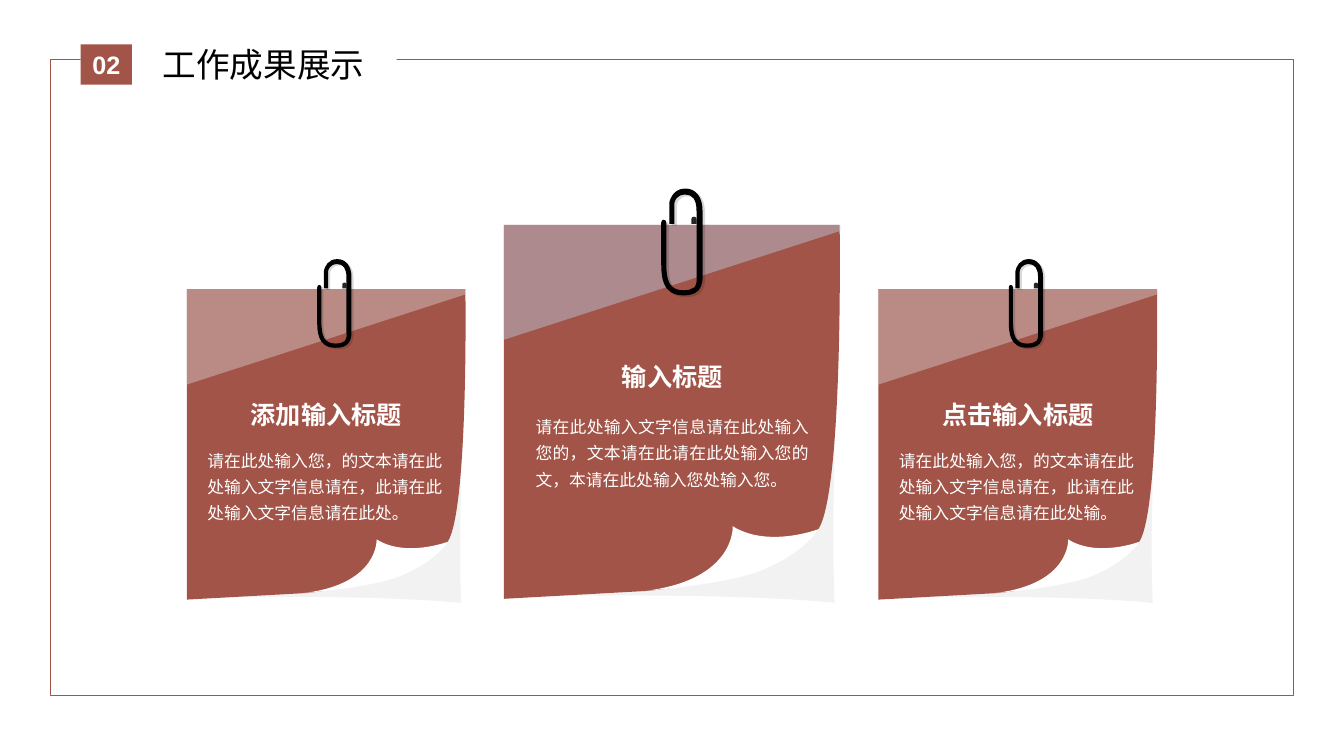
from lxml.etree import SubElement
from pptx import Presentation
from pptx.dml.color import RGBColor
from pptx.enum.shapes import MSO_SHAPE as Preset
from pptx.enum.text import MSO_ANCHOR as Anchor, MSO_AUTO_SIZE as AutoSize, PP_ALIGN as Align
from pptx.oxml.ns import qn
from pptx.util import Pt

BRICK = RGBColor(0xA2, 0x54, 0x48)
WHITE = RGBColor(0xFF, 0xFF, 0xFF)
BLACK = RGBColor(0x00, 0x00, 0x00)
CHARCOAL = RGBColor(0x26, 0x26, 0x26)
PALE_GREY = RGBColor(0xF2, 0xF2, 0xF2)
GREY = RGBColor(0xD9, 0xD9, 0xD9)
PALE_BLUE = RGBColor(0xBD, 0xD7, 0xEE)
HAN = "Noto Sans CJK SC"

SECTION_NUMBER, SECTION_TITLE = "02", "工作成果展示"

# Each note: left, top, scale, gloss colour, body width, body alignment, heading, body
NOTES = [
    (360, 160.6, 1, PALE_BLUE, 209.5, Align.JUSTIFY, "输入标题",
     "请在此处输入文字信息请在此处输入您的，文本请在此请在此处输入您的文，本请在此处输入您处输入您。"),
    (627.4, 206.6, 0.83, GREY, 222, Align.LEFT, "点击输入标题",
     "请在此处输入您，的文本请在此处输入文字信息请在，此请在此处输入文字信息请在此处输。"),
    (133.4, 206.6, 0.83, GREY, 222, Align.LEFT, "添加输入标题",
     "请在此处输入您，的文本请在此处输入文字信息请在，此请在此处输入文字信息请在此处。"),
]

# Outlines of a full-size note, from its top left corner.
# Two numbers are a corner, six are a cubic curve (two controls and an end).
UNDERLAY = [
    (236.2, 270), (236.2, 270, 171.4, 262.1, 6.5, 265.7), (6.5, 6.5), (236.2, 6.5),
    (236.2, 159.8), (236.2, 176.4, 234, 221, 236.2, 270),
]
PAPER = [
    (239.8, 0), (0, 0), (0, 267.1), (103.7, 261.4),
    (103.7, 261.4, 136.1, 258.5, 165.6, 247.7),
    (195.8, 236.9, 223.9, 218.2, 224.6, 217.4),
    (242.6, 189.4, 239.8, 0, 239.8, 0),
]
CURL = [
    (224.6, 217.4), (224.6, 217.4, 188.6, 231.1, 163.4, 215.3),
    (163.4, 215.3, 165.6, 253.4, 101.5, 261.4),
    (101.5, 261.4, 158.4, 257, 183.6, 247),
    (215.3, 234, 224.6, 217.4, 224.6, 217.4),
]
GLOSS = [(240.5, 4.3), (0, 82.1), (0, 0), (240.5, 0)]
CLIP = [
    (141.8, 38.2), (141.8, -10.1),
    (141.8, -20.2, 136.8, -25.9, 129.6, -25.9),
    (121.7, -25.9, 118.8, -19.4, 118.1, -15.8),
    (118.1, -0.7), (121.7, -0.7), (121.7, -15.1),
    (121.7, -16.6, 123.1, -21.6, 129.6, -21.6),
    (134.6, -21.6, 137.5, -18, 137.5, -10.1),
    (137.5, 38.2), (137.5, 38.2, 138.2, 41.8, 136.1, 44.6),
    (133.9, 46.1, 131.8, 46.8, 128.2, 46.8),
    (118.1, 46.8, 115.9, 40.3, 115.9, 26.6),
    (115.9, -1.4), (115.9, -2.9, 115.2, -3.6, 114.1, -3.6),
    (113, -3.6, 112.3, -2.9, 112.3, -1.4),
    (112.3, 26.6), (112.3, 36, 112.3, 50.4, 128.2, 50.4),
    (132.5, 50.4, 136.1, 49.7, 139, 46.8),
    (141.8, 43.2, 141.8, 38.9, 141.8, 38.2),
]
CATCH = [
    (137.5, -4.3), (137.5, -5, 136.8, -5.8, 135.7, -5.8),
    (134.6, -5.8, 133.9, -5, 133.9, -4.3), (133.9, -0.7), (137.5, -0.7),
]
CLIP_SHADE_SHIFT = (1.8, 1.3)
TEXT_CENTRE, HEADING_WIDTH = 120.2, 222
HEADING_TOP, HEADING_HEIGHT = 87.3, 41.6
BODY_TOP, BODY_HEIGHT = 129.4, 79.2

HEADING_FONT = {"size": Pt(18), "bold": True, "name": HAN}
BODY_FONT = {"size": Pt(12), "name": HAN}
TITLE_FONT = {"size": Pt(24), "bold": False, "name": HAN}
NUMBER_FONT = {"size": Pt(18), "bold": True, "name": "Arial"}


def bend(shape, outline):
    """Join the three lines drawn for each six-number segment into one cubic curve."""
    lines = iter(list(shape._element.iter(qn("a:lnTo"))))
    for segment in outline[1:]:
        first = next(lines)
        if len(segment) == 2:
            continue
        curve = first.makeelement(qn("a:cubicBezTo"))
        first.addprevious(curve)
        for line in (first, next(lines), next(lines)):
            curve.append(line[0])
            line.getparent().remove(line)


def paint(shape, colour, opacity=100, border=None):
    shape.shadow.inherit = False
    shape.fill.solid()
    shape.fill.fore_color.rgb = colour
    if opacity < 100:
        tint = shape.fill._xPr.find(qn("a:solidFill"))[0]
        SubElement(tint, qn("a:alpha"), val=str(opacity * 1000))
    if border is None:
        shape.line.fill.background()
    else:
        shape.line.color.rgb = border
        shape.line.width = Pt(1)


def add_block(left, top, width, height, colour, border=None):
    block = slide.shapes.add_shape(Preset.RECTANGLE, Pt(left), Pt(top), Pt(width), Pt(height))
    paint(block, colour, border=border)
    return block


def write(shape, text, font, colour, align=Align.CENTER, anchor=Anchor.MIDDLE, spacing=1):
    frame = shape.text_frame
    layout = {"word_wrap": True, "auto_size": AutoSize.NONE, "vertical_anchor": anchor}
    for key, value in layout.items():
        setattr(frame, key, value)
    paragraph = frame.paragraphs[0]
    paragraph.alignment, paragraph.line_spacing = align, spacing
    run = paragraph.add_run()
    run.text = text
    for key, value in font.items():
        setattr(run.font, key, value)
    run.font.color.rgb = colour
    SubElement(run.font._element, qn("a:ea"), typeface=font["name"])


def add_note(left, top, scale, gloss, body_width, body_align, heading, body):
    def draw(outline, colour, opacity=100, shift=(0, 0)):
        points = [(Pt(left + scale * (x + shift[0])), Pt(top + scale * (y + shift[1])))
                  for segment in outline for x, y in zip(segment[::2], segment[1::2])]
        builder = slide.shapes.build_freeform(*points[0])
        builder.add_line_segments(points[1:], close=True)
        piece = builder.convert_to_shape()
        bend(piece, outline)
        paint(piece, colour, opacity)

    def add_text_area(offset, width, height):
        return slide.shapes.add_textbox(
            Pt(left + scale * (TEXT_CENTRE - width / 2)), Pt(top + scale * offset),
            Pt(scale * width), Pt(scale * height))

    draw(UNDERLAY, PALE_GREY)
    draw(PAPER, BRICK)
    draw(CURL, WHITE)
    draw(GLOSS, gloss, 42)
    draw(CLIP, BLACK, 15, CLIP_SHADE_SHIFT)
    draw(CATCH, CHARCOAL)
    draw(CLIP, BLACK)
    write(add_text_area(BODY_TOP, body_width, BODY_HEIGHT), body, BODY_FONT, WHITE,
          body_align, Anchor.TOP, 1.3)
    write(add_text_area(HEADING_TOP, HEADING_WIDTH, HEADING_HEIGHT), heading,
          HEADING_FONT, WHITE)


deck = Presentation()
deck.slide_width, deck.slide_height = Pt(960), Pt(540)
slide = deck.slides.add_slide(deck.slide_layouts[5])

add_block(36, 42.5, 887.8, 454.3, WHITE, border=BRICK)
add_block(57.6, 10.8, 225.7, 70.6, WHITE)
for note in NOTES:
    add_note(*note)

title = slide.shapes.title
title_box = {"left": 94.3, "top": 28.1, "width": 187.9, "height": 36}
for side, length in title_box.items():
    setattr(title, side, Pt(length))
write(title, SECTION_TITLE, TITLE_FONT, BLACK, anchor=Anchor.TOP)
slide.shapes._spTree.append(title._element)  # in front of the white gap in the frame

number = add_block(57.6, 31.7, 36.7, 28.8, BRICK)
write(number, SECTION_NUMBER, NUMBER_FONT, WHITE)

deck.save("out.pptx")
